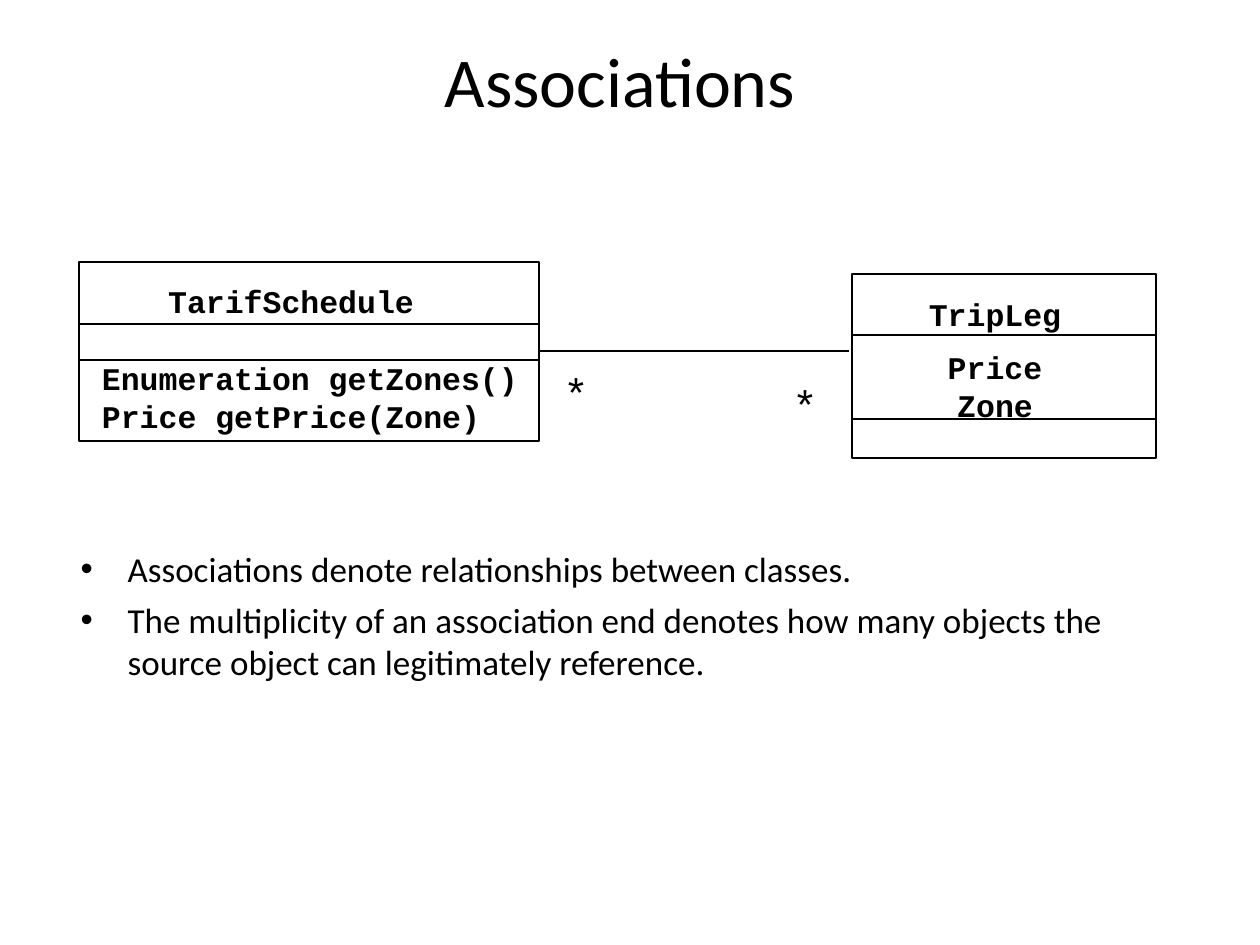
from dataclasses import dataclass

from lxml import etree
from pptx import Presentation
from pptx.dml.color import RGBColor
from pptx.enum.shapes import MSO_CONNECTOR, MSO_SHAPE
from pptx.enum.text import MSO_ANCHOR, PP_ALIGN
from pptx.oxml.ns import qn
from pptx.util import Pt

LEFT, CENTER = PP_ALIGN.LEFT, PP_ALIGN.CENTER
TOP, MIDDLE = MSO_ANCHOR.TOP, MSO_ANCHOR.MIDDLE
RECTANGLE, STRAIGHT = MSO_SHAPE.RECTANGLE, MSO_CONNECTOR.STRAIGHT
PX = 914400 // 126


@dataclass(frozen=True)
class Theme:
    ink: RGBColor = RGBColor(0, 0, 0)
    text_font: str = "Calibri"
    code_font: str = "Courier New"
    mark_font: str = "Arial"
    title_size: int = 40
    body_size: int = 20
    code_size: int = 18
    mark_size: int = 24
    box_line: float = 1.25
    link_line: float = 0.75


THEME = Theme()

# Content: places are left, top, width, height in px
TITLE = "Associations"
TITLE_AREA = (58, 31, 1124, 97)
BULLETS = [
    "Associations denote relationships between classes.",
    "The multiplicity of an association end denotes how many objects "
    "the source object can legitimately reference.",
]
BULLET_AREA = (68, 541, 1138, 320)
BULLET_INDENT = 47

# Each class is a stack of compartments: left, top, width, heights
CLASSES = [
    (79, 262, 460, (62, 36, 81)),
    (852, 274, 304, (61, 84, 39)),
]
# Label areas are a little wider than their text, so that no word breaks
LABELS = [
    ("TarifSchedule", (161, 282, 260, 38), CENTER),
    ("Enumeration getZones()\nPrice getPrice(Zone)", (102, 359, 430, 76), LEFT),
    ("TripLeg", (920, 295, 150, 38), CENTER),
    ("Price\nZone", (940, 348, 110, 76), CENTER),
]
ASSOCIATION = (539, 351, 849, 351)
MULTIPLICITIES = [("*", (555, 359, 42, 63)), ("*", (784, 371, 42, 63))]


def emu(lengths):
    return [length * PX for length in lengths]


def place(shape, area):
    shape.left, shape.top, shape.width, shape.height = emu(area)


def format_text(frame, font, size, align, bold=False):
    for para in frame.paragraphs:
        para.alignment = align
        for span in para.runs:
            span.font.name, span.font.size = font, Pt(size)
            span.font.bold = bold
            span.font.color.rgb = THEME.ink


def add_label(page, text, area, font, size, align, anchor=TOP, bold=False):
    frame = page.shapes.add_textbox(*emu(area)).text_frame
    frame.margin_left = frame.margin_right = 0
    frame.margin_top = frame.margin_bottom = 0
    frame.word_wrap = False
    frame.vertical_anchor = anchor
    frame.text = text
    format_text(frame, font, size, align, bold)


def add_class(page, left, top, width, heights):
    for height in heights:
        box = page.shapes.add_shape(RECTANGLE, *emu((left, top, width, height)))
        box.shadow.inherit = False
        box.fill.background()
        box.line.color.rgb = THEME.ink
        box.line.width = Pt(THEME.box_line)
        top += height


def add_association(page, ends):
    link = page.shapes.add_connector(STRAIGHT, *emu(ends))
    link.line.color.rgb = THEME.ink
    link.line.width = Pt(THEME.link_line)
    etree.SubElement(link._element.spPr, qn("a:effectLst"))


def add_bullets(body):
    place(body, BULLET_AREA)
    frame = body.text_frame
    frame.text = "\n".join(BULLETS)
    format_text(frame, THEME.text_font, THEME.body_size, LEFT)
    for para in frame.paragraphs:
        para.space_before = Pt(5)
        properties = para._p.get_or_add_pPr()
        properties.set("marL", str(BULLET_INDENT * PX))
        properties.set("indent", str(-BULLET_INDENT * PX))
        etree.SubElement(properties, qn("a:buChar")).set("char", "•")


def main():
    deck = Presentation()
    deck.slide_width, deck.slide_height = emu((1260, 945))
    # Title and Content: the bullets fill its body placeholder
    page = deck.slides.add_slide(deck.slide_layouts[1])

    # Title and bullets
    title = page.shapes.title
    place(title, TITLE_AREA)
    title.text_frame.text = TITLE
    title.text_frame.vertical_anchor = MIDDLE
    format_text(title.text_frame, THEME.text_font, THEME.title_size, CENTER)
    add_bullets(page.placeholders[1])

    # Class diagram
    for left, top, width, heights in CLASSES:
        add_class(page, left, top, width, heights)
    for text, area, align in LABELS:
        add_label(page, text, area, THEME.code_font, THEME.code_size, align, bold=True)
    add_association(page, ASSOCIATION)
    for text, area in MULTIPLICITIES:
        add_label(page, text, area, THEME.mark_font, THEME.mark_size, CENTER, MIDDLE)

    deck.save("out.pptx")


if __name__ == "__main__":
    main()
